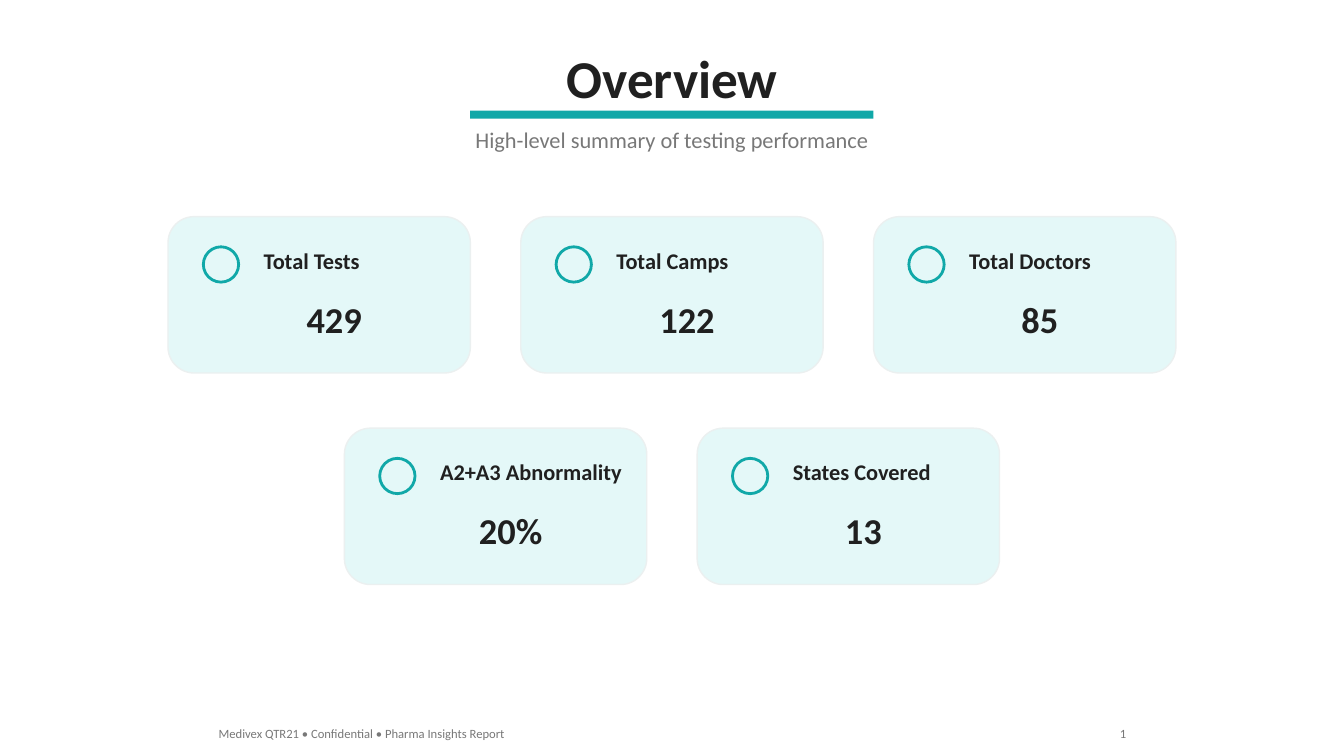
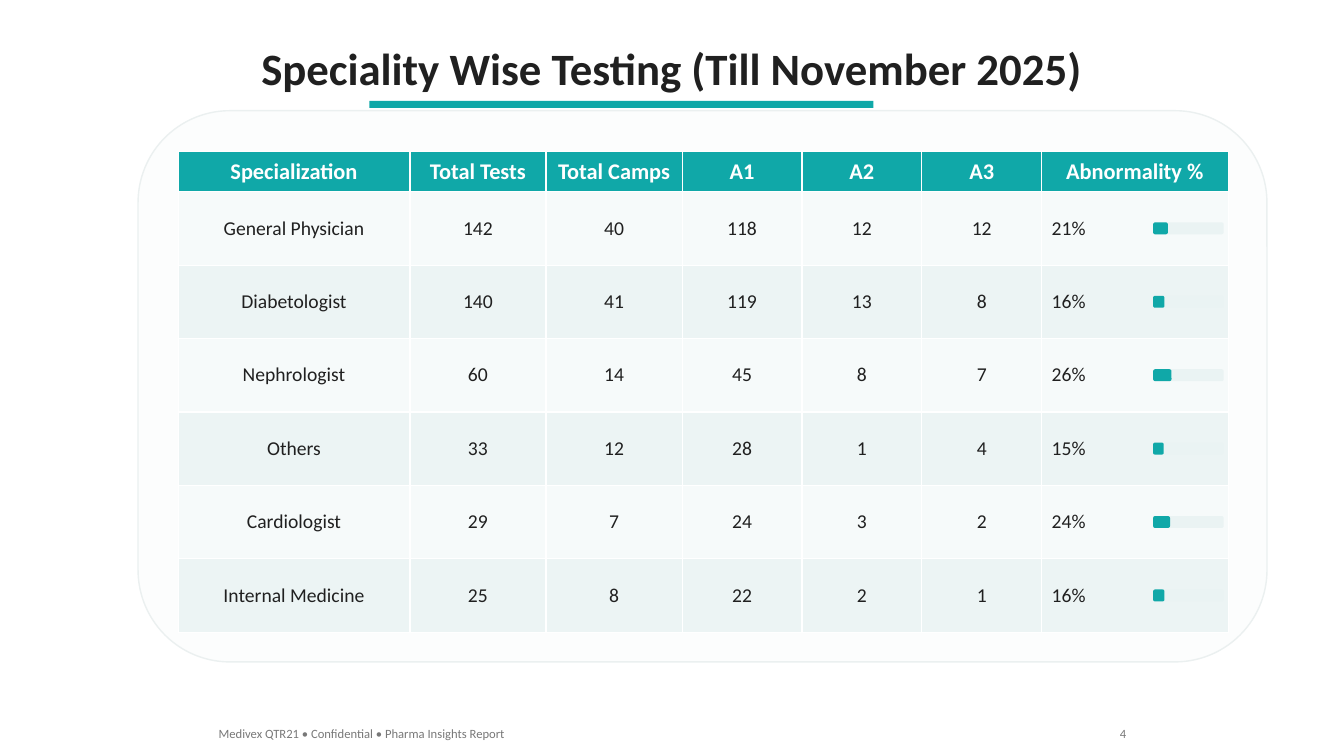
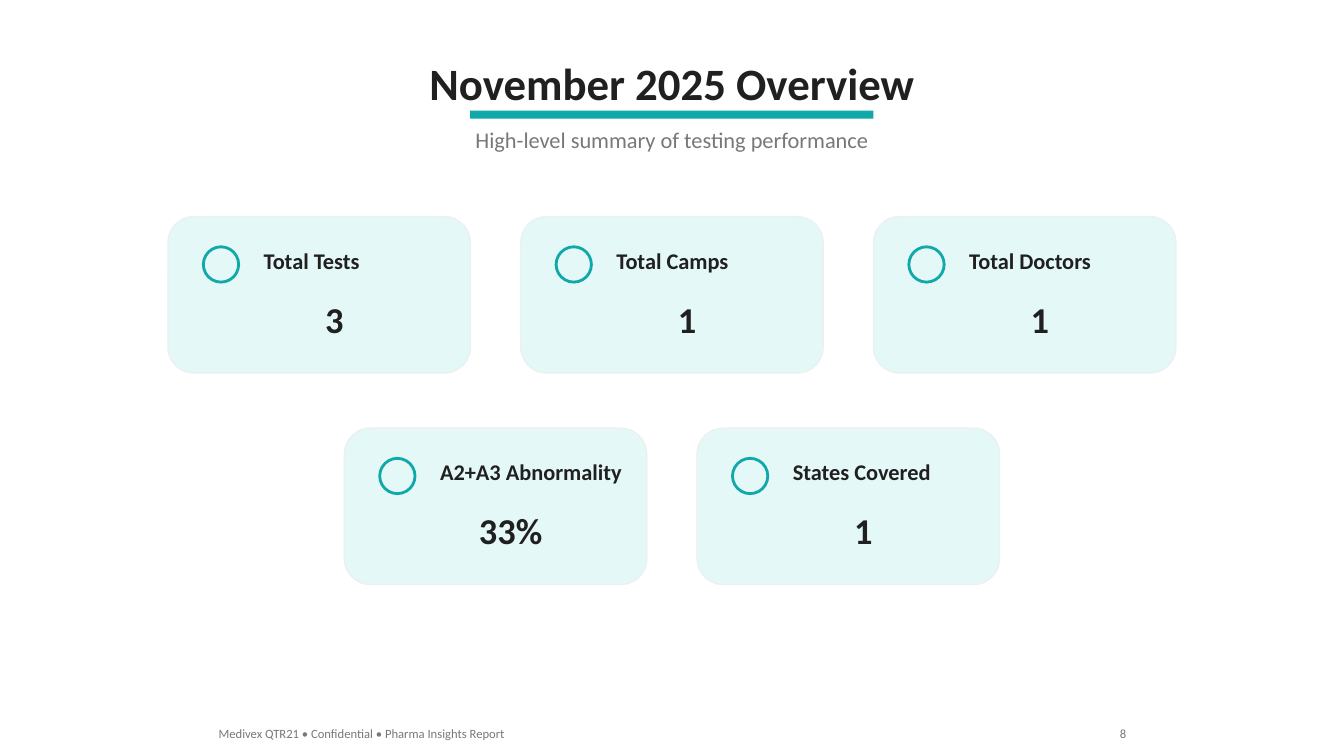
from dataclasses import dataclass

from pptx import Presentation
from pptx.dml.color import RGBColor
from pptx.enum.shapes import MSO_SHAPE
from pptx.enum.text import MSO_ANCHOR, MSO_AUTO_SIZE, PP_ALIGN
from pptx.presentation import Presentation as Deck
from pptx.shapes.autoshape import Shape
from pptx.slide import Slide
from pptx.text.text import TextFrame
from pptx.util import Cm, Pt

RECTANGLE = MSO_SHAPE.RECTANGLE
ROUNDED = MSO_SHAPE.ROUNDED_RECTANGLE
OVAL = MSO_SHAPE.OVAL
LEFT, CENTER, RIGHT = PP_ALIGN.LEFT, PP_ALIGN.CENTER, PP_ALIGN.RIGHT
TOP, MIDDLE = MSO_ANCHOR.TOP, MSO_ANCHOR.MIDDLE
NO_AUTOFIT = MSO_AUTO_SIZE.NONE
TITLE_ONLY = 5

# Shared look
FONT = "Calibri"
TEAL = RGBColor(0x10, 0xA8, 0xA8)
INK = RGBColor(0x20, 0x20, 0x20)
GREY = RGBColor(0x78, 0x78, 0x78)
WHITE = RGBColor(0xFF, 0xFF, 0xFF)
CARD_FILL = RGBColor(0xE4, 0xF8, 0xF8)
PANEL_FILL = RGBColor(0xFC, 0xFD, 0xFD)
OUTLINE = RGBColor(0xEB, 0xF0, 0xF0)
TRACK_FILL = RGBColor(0xEA, 0xF3, 0xF3)
ROW_FILLS = (RGBColor(0xF6, 0xFA, 0xFA), RGBColor(0xEC, 0xF4, 0xF4))

FOOTER = "Medivex QTR21 • Confidential • Pharma Insights Report"
SUBTITLE = "High-level summary of testing performance"

# Lengths in centimetres
PAGE_WIDTH, PAGE_HEIGHT = 33.87, 19.05
CARD_WIDTH, CARD_HEIGHT = 7.62, 3.94
CARD_GAP, CARD_PITCH = 1.27, 5.33
CARDS_TOP, CARDS_PER_ROW = 5.46, 3
TABLE_LEFT, TABLE_TOP = 4.49, 3.81
COLUMN_WIDTHS = (5.84, 3.43, 3.43, 3.02, 3.02, 3.02, 4.7)
HEADER_HEIGHT, ROW_HEIGHT = 1.02, 1.85
BAR_LEFT, BAR_WIDTH, BAR_HEIGHT = 29.06, 1.78, 0.3


@dataclass(frozen=True)
class Box:
    left: float
    top: float
    width: float
    height: float

    def lengths(self) -> tuple[Cm, Cm, Cm, Cm]:
        return Cm(self.left), Cm(self.top), Cm(self.width), Cm(self.height)


@dataclass(frozen=True)
class TextStyle:
    size: int
    color: RGBColor = INK
    bold: bool = False
    align: PP_ALIGN = LEFT


@dataclass(frozen=True)
class Header:
    title: str
    size: int
    top: float
    rule: Box


@dataclass(frozen=True)
class Card:
    label: str
    value: str


@dataclass(frozen=True)
class Speciality:
    name: str
    tests: int
    camps: int
    a1: int
    a2: int
    a3: int
    abnormality: int

    def texts(self) -> list[str]:
        counts = (self.tests, self.camps, self.a1, self.a2, self.a3)
        return [self.name, *map(str, counts), f"{self.abnormality}%"]


SUBTITLE_STYLE = TextStyle(16, GREY, align=CENTER)
LABEL_STYLE = TextStyle(16, bold=True)
VALUE_STYLE = TextStyle(26, bold=True, align=CENTER)
HEADING_STYLE = TextStyle(16, WHITE, bold=True, align=CENTER)
CELL_STYLE = TextStyle(14, align=CENTER)
PERCENT_STYLE = TextStyle(14)
FOOTER_STYLE = TextStyle(9, GREY)
NUMBER_STYLE = TextStyle(9, GREY, align=RIGHT)

OVERVIEW_RULE = Box(11.85, 2.79, 10.16, 0.2)
TABLE_RULE = Box(9.31, 2.54, 12.7, 0.18)

CARD_LABELS = ("Total Tests", "Total Camps", "Total Doctors",
               "A2+A3 Abnormality", "States Covered")
HEADINGS = ("Specialization", "Total Tests", "Total Camps",
            "A1", "A2", "A3", "Abnormality %")
SPECIALITIES = (
    Speciality("General Physician", 142, 40, 118, 12, 12, 21),
    Speciality("Diabetologist", 140, 41, 119, 13, 8, 16),
    Speciality("Nephrologist", 60, 14, 45, 8, 7, 26),
    Speciality("Others", 33, 12, 28, 1, 4, 15),
    Speciality("Cardiologist", 29, 7, 24, 3, 2, 24),
    Speciality("Internal Medicine", 25, 8, 22, 2, 1, 16),
)


def write(frame: TextFrame, text: str, style: TextStyle) -> None:
    para = frame.paragraphs[0]
    para.alignment = style.align
    span = para.add_run()
    span.text = text
    span.font.name = FONT
    span.font.size = Pt(style.size)
    span.font.bold = style.bold
    span.font.color.rgb = style.color


def add_text(page: Slide, box: Box, text: str, style: TextStyle) -> None:
    frame = page.shapes.add_textbox(*box.lengths()).text_frame
    frame.word_wrap = True
    write(frame, text, style)


def add_shape(page: Slide, kind: MSO_SHAPE, box: Box,
              fill: RGBColor | None = None, line: RGBColor | None = None,
              line_width: float = 1) -> Shape:
    shape = page.shapes.add_shape(kind, *box.lengths())
    shape.shadow.inherit = False
    if fill is None:
        shape.fill.background()
    else:
        shape.fill.solid()
        shape.fill.fore_color.rgb = fill
    if line is None:
        shape.line.fill.background()
    else:
        shape.line.color.rgb = line
        shape.line.width = Pt(line_width)
    return shape


def add_page(deck: Deck, header: Header, number: int) -> Slide:
    """Add a page with its title, rule and footer."""
    page = deck.slides.add_slide(deck.slide_layouts[TITLE_ONLY])
    title = page.shapes.title
    title_box = Box(0, header.top, PAGE_WIDTH, 1.8)
    title.left, title.top, title.width, title.height = title_box.lengths()
    title.text_frame.auto_size = NO_AUTOFIT
    title.text_frame.vertical_anchor = TOP
    write(title.text_frame, header.title,
          TextStyle(header.size, bold=True, align=CENTER))
    add_shape(page, RECTANGLE, header.rule, TEAL)
    add_text(page, Box(5.26, 18.16, 12, 0.64), FOOTER, FOOTER_STYLE)
    add_text(page, Box(26.09, 18.16, 2.54, 0.64), str(number), NUMBER_STYLE)
    return page


def add_card(page: Slide, left: float, top: float, card: Card) -> None:
    add_shape(page, ROUNDED, Box(left, top, CARD_WIDTH, CARD_HEIGHT),
              CARD_FILL, OUTLINE)
    add_shape(page, OVAL, Box(left + 0.89, top + 0.76, 0.89, 0.89),
              line=TEAL, line_width=2)
    text_left = left + 2.16
    add_text(page, Box(text_left, top + 0.64, 5.46, 0.94),
             card.label, LABEL_STYLE)
    add_text(page, Box(text_left, top + 1.9, 4.06, 1.37),
             card.value, VALUE_STYLE)


def add_overview(deck: Deck, header: Header, number: int,
                 values: tuple[str, ...]) -> None:
    page = add_page(deck, header, number)
    add_text(page, Box(0, 3.05, PAGE_WIDTH, 0.94), SUBTITLE, SUBTITLE_STYLE)
    cards = [Card(*pair) for pair in zip(CARD_LABELS, values)]
    # Each row of cards is centred on the page
    for row, start in enumerate(range(0, len(cards), CARDS_PER_ROW)):
        row_cards = cards[start:start + CARDS_PER_ROW]
        step = CARD_WIDTH + CARD_GAP
        left = (PAGE_WIDTH - len(row_cards) * step + CARD_GAP) / 2
        for column, card in enumerate(row_cards):
            add_card(page, left + column * step,
                     CARDS_TOP + row * CARD_PITCH, card)


def add_speciality_table(page: Slide) -> None:
    rows = [list(HEADINGS), *(item.texts() for item in SPECIALITIES)]
    heights = [HEADER_HEIGHT] + [ROW_HEIGHT] * len(SPECIALITIES)
    box = Box(TABLE_LEFT, TABLE_TOP, sum(COLUMN_WIDTHS), sum(heights))
    table = page.shapes.add_table(
        len(rows), len(HEADINGS), *box.lengths()).table
    table.horz_banding = False
    for column, width in zip(table.columns, COLUMN_WIDTHS):
        column.width = Cm(width)
    for row, (texts, height) in enumerate(zip(rows, heights)):
        table.rows[row].height = Cm(height)
        for column, text in enumerate(texts):
            if row == 0:
                fill, style = TEAL, HEADING_STYLE
            else:
                fill = ROW_FILLS[(row - 1) % 2]
                last = column == len(HEADINGS) - 1
                style = PERCENT_STYLE if last else CELL_STYLE
            cell = table.cell(row, column)
            cell.fill.solid()
            cell.fill.fore_color.rgb = fill
            cell.vertical_anchor = MIDDLE
            write(cell.text_frame, text, style)


def add_bars(page: Slide) -> None:
    first_top = TABLE_TOP + HEADER_HEIGHT + (ROW_HEIGHT - BAR_HEIGHT) / 2
    for row, item in enumerate(SPECIALITIES):
        top = first_top + row * ROW_HEIGHT
        filled = BAR_WIDTH * item.abnormality / 100
        for width, color in ((BAR_WIDTH, TRACK_FILL), (filled, TEAL)):
            add_shape(page, ROUNDED, Box(BAR_LEFT, top, width, BAR_HEIGHT),
                      color)


def main() -> None:
    deck = Presentation()
    deck.slide_width, deck.slide_height = Cm(PAGE_WIDTH), Cm(PAGE_HEIGHT)

    # Overall figures
    add_overview(deck, Header("Overview", 38, 1.02, OVERVIEW_RULE), 1,
                 ("429", "122", "85", "20%", "13"))

    # Figures by speciality
    page = add_page(deck, Header("Speciality Wise Testing (Till November 2025)",
                                 32, 0.89, TABLE_RULE), 4)
    add_shape(page, ROUNDED, Box(3.48, 2.79, 28.45, 13.89),
              PANEL_FILL, OUTLINE)
    add_speciality_table(page)
    add_bars(page)

    # Figures for the month
    add_overview(deck, Header("November 2025 Overview", 32, 1.27,
                              OVERVIEW_RULE), 8, ("3", "1", "1", "33%", "1"))

    deck.save("out.pptx")


if __name__ == "__main__":
    main()
